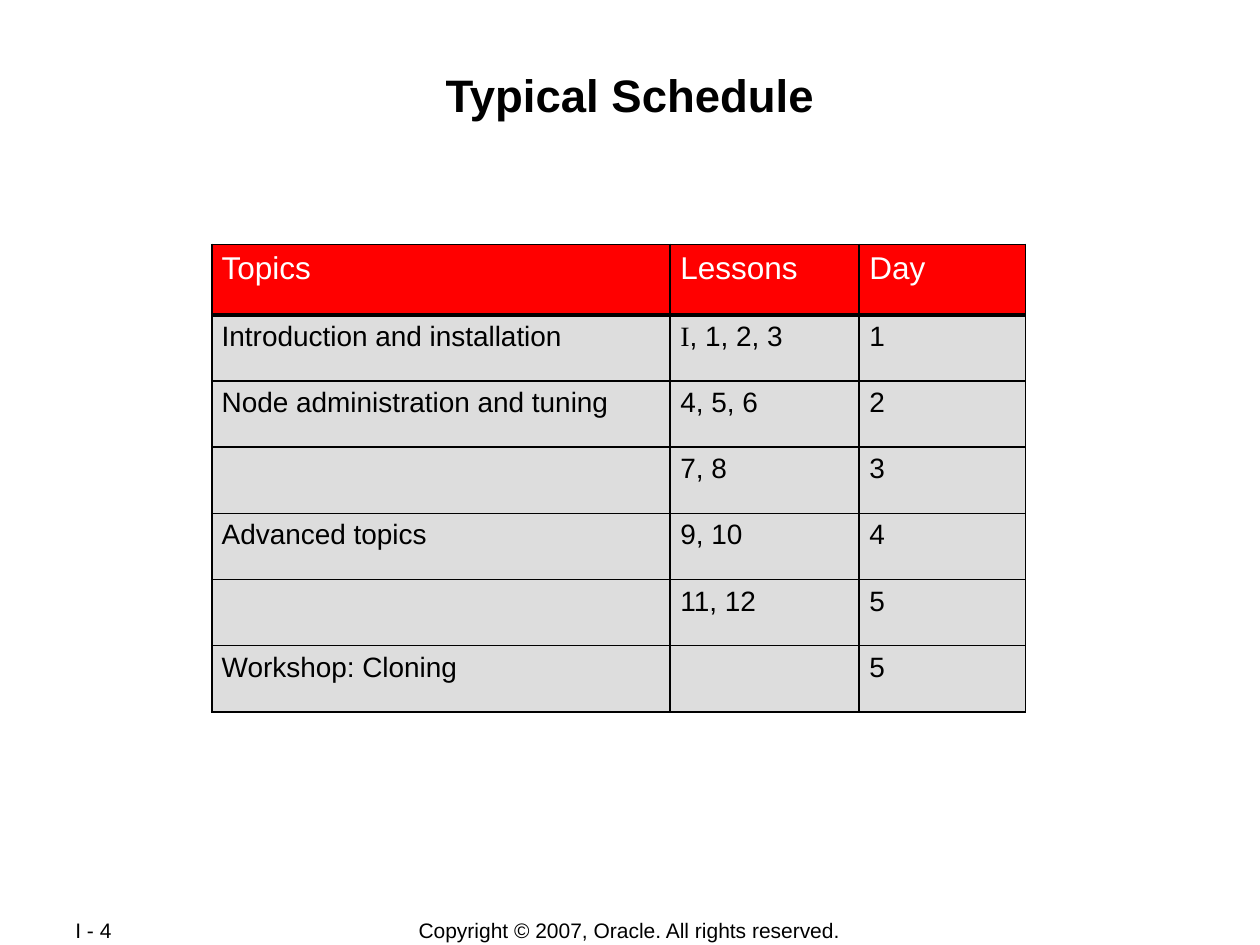
from dataclasses import dataclass
from lxml.etree import SubElement as Sub
from pptx import Presentation
from pptx.dml.color import RGBColor
from pptx.enum.text import MSO_ANCHOR as Anchor, PP_ALIGN as Align
from pptx.oxml.ns import qn
from pptx.util import Inches, Pt

COLS, ROWS = 1000, 750
UNIT = Inches(10) // COLS
INK, HEAD, BODY, WHITE = "000000", "FF0000", "DDDDDD", "FFFFFF"
THIN, THICK = 1.08, 2.21
WIDTHS = (364, 150, 132)
HEAD_H, BODY_H = 56, 52.5
SCHEDULE = (
    ("Topics", "Lessons", "Day"),
    ("Introduction and installation", "I", "1"),
    ("Node administration and tuning", "4, 5, 6", "2"),
    ("", "7, 8", "3"),
    ("Advanced topics", "9, 10", "4"),
    ("", "11, 12", "5"),
    ("Workshop: Cloning", "", "5"),
)


@dataclass
class Label:
    """A line of text with its place on the grid."""
    text: str
    box: tuple[int, int, int, int]
    size: int
    align: Align = Align.CENTER
    anchor: Anchor = Anchor.MIDDLE
    bold: bool = False
    pad: tuple[int, int] = (10, 5)


LABELS = (
    Label("Copyright © 2007, Oracle. All rights reserved.", (275, 728, 449, 21), 12),
    Label("I - 4", (50, 728, 106, 20), 12, Align.JUSTIFY),
    Label("Typical Schedule", (67, 48, 866, 96), 26, anchor=Anchor.TOP, bold=True, pad=(1, 5)),
)


def grid(*marks: float) -> list[int]:
    """Turn grid marks into lengths."""
    return [int(mark * UNIT) for mark in marks]


def rgb(code: str) -> RGBColor:
    """Turn a hex string into a colour."""
    return RGBColor.from_string(code)


def style(run, size: int, tint: str = INK, face: str = "Arial", bold: bool = False) -> None:
    """Set the font of one run."""
    font = run.font
    font.name, font.size, font.bold = face, Pt(size), bold
    font.color.rgb = rgb(tint)


def draw_label(slide, label: Label) -> None:
    """Add a text box for a label."""
    frame = slide.shapes.add_textbox(*grid(*label.box)).text_frame
    frame.text = label.text
    frame.word_wrap = True
    frame.vertical_anchor = label.anchor
    side, edge = grid(*label.pad)
    frame.margin_left = frame.margin_right = side
    frame.margin_top = frame.margin_bottom = edge
    para = frame.paragraphs[0]
    para.alignment = label.align
    style(para.runs[0], label.size, bold=label.bold)


def add_edge(cell, side: str, width: float) -> None:
    """Draw one border of a cell."""
    props = cell._tc.get_or_add_tcPr()
    line = Sub(props, qn(f"a:ln{side}"), w=str(Pt(width)))
    Sub(Sub(line, qn("a:solidFill")), qn("a:srgbClr"), val=INK)


def fill_cell(cell, text: str, row: int) -> None:
    """Write, frame and fill one cell."""
    head = row == 0
    cell.text = text
    cell.margin_left, cell.margin_right = grid(8, 8)
    cell.margin_top, cell.margin_bottom = grid(5, 5)
    for run in cell.text_frame.paragraphs[0].runs:
        style(run, 18 if head else 16, WHITE if head else INK)
    top = THICK if row == 1 else THIN
    base = THICK if head else THIN
    for side, width in zip("LRTB", (THIN, THIN, top, base)):
        add_edge(cell, side, width)
    cell.fill.solid()
    cell.fill.fore_color.rgb = rgb(HEAD if head else BODY)


def draw_table(slide) -> None:
    """Add the schedule table."""
    count = len(SCHEDULE)
    box = grid(168, 194, sum(WIDTHS), HEAD_H + BODY_H * (count - 1))
    table = slide.shapes.add_table(count, len(WIDTHS), *box).table
    for col, width in zip(table.columns, grid(*WIDTHS)):
        col.width = width
    for num, texts in enumerate(SCHEDULE):
        table.rows[num].height = grid(BODY_H if num else HEAD_H)[0]
        for col, text in enumerate(texts):
            fill_cell(table.cell(num, col), text, num)
    para = table.cell(1, 1).text_frame.paragraphs[0]
    style(para.runs[0], 16, face="Times New Roman")
    rest = para.add_run()
    rest.text = ", 1, 2, 3"
    style(rest, 16)


def main() -> None:
    """Build and save the slide."""
    deck = Presentation()
    deck.slide_width, deck.slide_height = grid(COLS, ROWS)
    slide = deck.slides.add_slide(deck.slide_layouts[6])
    for label in LABELS:
        draw_label(slide, label)
    draw_table(slide)
    deck.save("out.pptx")


if __name__ == "__main__":
    main()
